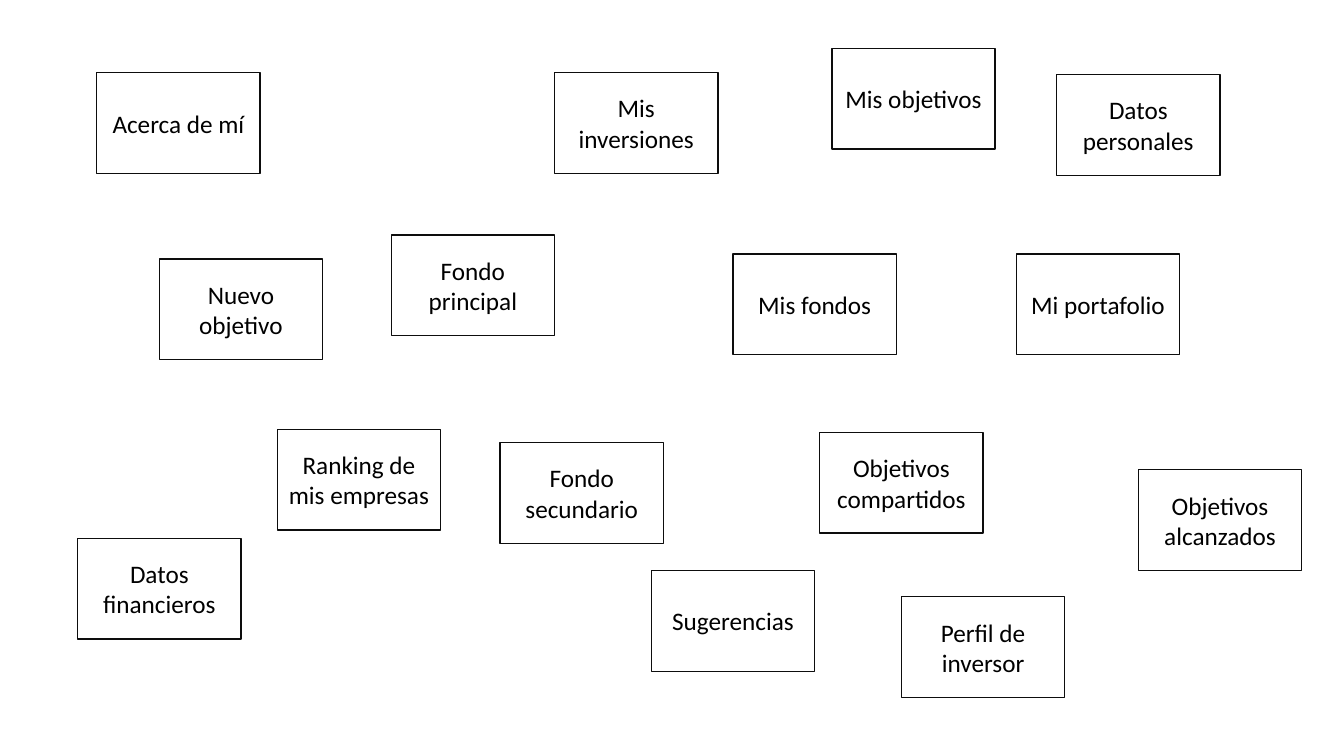
import pptx
import pptx.dml.color
import pptx.enum.shapes
import pptx.enum.text
import pptx.util

Inches = pptx.util.Inches
RGBColor = pptx.dml.color.RGBColor

BLACK = RGBColor(0x00, 0x00, 0x00)
OUTLINE = RGBColor(0x0D, 0x0D, 0x0D)

CARD_WIDTH, CARD_HEIGHT = 1.62, 1

# Label, left and top of each card, in inches
CARDS = [
    ("Perfil de inversor", 8.94, 5.92),
    ("Acerca de mí", 0.96, 0.72),
    ("Datos personales", 10.48, 0.74),
    ("Mis inversiones", 5.5, 0.72),
    ("Datos financieros", 0.77, 5.34),
    ("Sugerencias", 6.46, 5.66),
    ("Mi portafolio", 10.08, 2.52),
    ("Ranking de mis empresas", 2.75, 4.26),
    ("Mis objetivos", 8.25, 0.48),
    ("Objetivos compartidos", 8.13, 4.29),
    ("Objetivos alcanzados", 11.29, 4.66),
    ("Mis fondos", 7.27, 2.52),
    ("Nuevo objetivo", 1.58, 2.57),
    ("Fondo principal", 3.88, 2.33),
    ("Fondo secundario", 4.96, 4.39),
]


# Centred label inside a shape
def write_text(shape, text, *, size=18, font="Calibri", color=BLACK,
               align=pptx.enum.text.PP_ALIGN.CENTER,
               anchor=pptx.enum.text.MSO_ANCHOR.MIDDLE):
    frame = shape.text_frame
    frame.word_wrap = True
    frame.vertical_anchor = anchor
    paragraph = frame.paragraphs[0]
    paragraph.alignment = align
    run = paragraph.add_run()
    run.text = text
    run.font.size = pptx.util.Pt(size)
    run.font.name = font
    run.font.color.rgb = color


# One outlined card
def add_card(slide, label, left, top, width, height):
    card = slide.shapes.add_shape(
        pptx.enum.shapes.MSO_SHAPE.RECTANGLE,
        Inches(left), Inches(top), Inches(width), Inches(height))
    card.shadow.inherit = False
    card.fill.background()
    card.line.color.rgb = OUTLINE
    card.line.width = pptx.util.Pt(1)
    write_text(card, label)


# All cards, placed from the corner of the board
def add_card_board(slide, left, top):
    for label, offset_x, offset_y in CARDS:
        add_card(slide, label, left + offset_x, top + offset_y,
                 CARD_WIDTH, CARD_HEIGHT)


def main():
    presentation = pptx.Presentation()
    presentation.slide_width = Inches(13.33)
    presentation.slide_height = Inches(7.5)
    slide = presentation.slides.add_slide(presentation.slide_layouts[6])
    add_card_board(slide, 0, 0)
    presentation.save("out.pptx")


if __name__ == "__main__":
    main()
